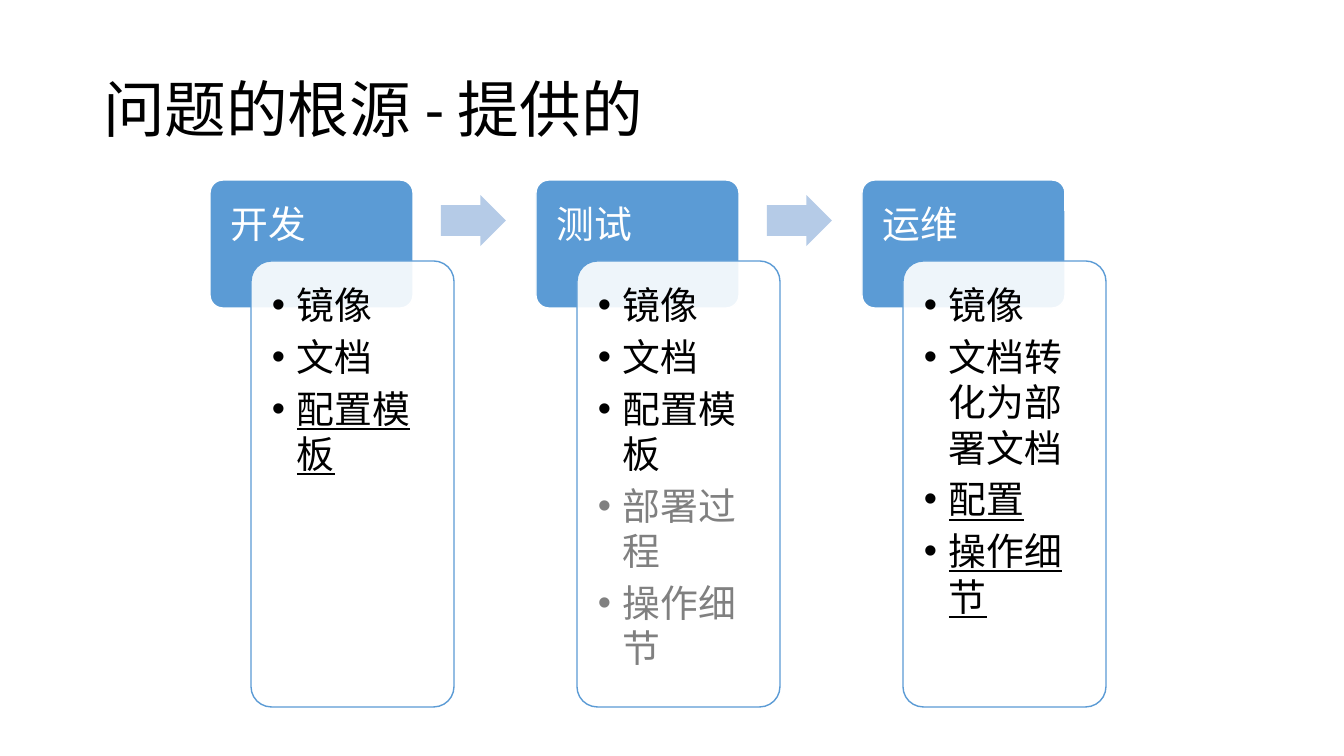
from pptx import Presentation, util as u
from pptx.dml.color import RGBColor
from pptx.enum import shapes, text
from pptx.oxml.ns import qn
from lxml import etree

SCALE = 914400 / 100.8  # EMU per pixel
BLUE, PALE, WHITE, BLACK, GREY = "5B9BD5", "B5CBE7", "FFFFFF", "000000", "808080"


def px(n):
    return u.Emu(round(n * SCALE))


def rgb(value):
    return RGBColor.from_string(value)


prs = Presentation()
prs.slide_width, prs.slide_height = px(1344), px(756)
slide = prs.slides.add_slide(prs.slide_layouts[5])

# Title
title = slide.shapes.title
title.left, title.top, title.width, title.height = px(93), px(40), px(1159), px(146)
title.text_frame.text = "问题的根源 - 提供的"
title.text_frame.vertical_anchor = text.MSO_ANCHOR.MIDDLE
heading = title.text_frame.paragraphs[0]
heading.alignment, heading.line_spacing = text.PP_ALIGN.LEFT, 0.9
heading.font.size, heading.font.name = u.Pt(44), "Calibri"
heading.font.color.rgb = rgb(BLACK)

# Each stage: name and its items as (wording, colour, underlined)
stages = [
    ("开发", [("镜像", BLACK, False), ("文档", BLACK, False), ("配置模板", BLACK, True)]),
    ("测试", [("镜像", BLACK, False), ("文档", BLACK, False), ("配置模板", BLACK, False),
            ("部署过程", GREY, False), ("操作细节", GREY, False)]),
    ("运维", [("镜像", BLACK, False), ("文档转化为部署文档", BLACK, False),
            ("配置", BLACK, True), ("操作细节", BLACK, True)]),
]
ROUND, ARROW = shapes.MSO_SHAPE.ROUNDED_RECTANGLE, shapes.MSO_SHAPE.RIGHT_ARROW
FIRST, STEP = 210, 326

for i, (stage, items) in enumerate(stages):
    left = FIRST + i * STEP
    # Parts: preset, box, adjustments, fill, line, inset, space after, lines of text
    parts = [
        (ROUND, (left, 180, 203, 128), [0.1], BLUE, WHITE, 17, 9, [(stage, WHITE, False)]),
        (ROUND, (left + 41, 261, 203, 446), [0.1], WHITE, BLUE, 15, 4.5, items),
    ]
    if i < len(stages) - 1:
        parts.append((ARROW, (left + 231, 195, 65, 51), [0.6, 0.5], PALE, None, 0, 0, []))

    for preset, box, adjustments, fill, line, inset, after, lines in parts:
        part = slide.shapes.add_shape(preset, *map(px, box))
        part.shadow.inherit = False
        for n, value in enumerate(adjustments):
            part.adjustments[n] = value
        part.fill.solid()
        part.fill.fore_color.rgb = rgb(fill)
        if line:
            part.line.color.rgb = rgb(line)
            part.line.width = u.Pt(1)
        else:
            part.line.fill.background()

        frame = part.text_frame
        frame_format = {"word_wrap": True, "vertical_anchor": text.MSO_ANCHOR.TOP,
                        "margin_left": px(inset), "margin_right": px(inset),
                        "margin_top": px(inset), "margin_bottom": px(min(inset, 7))}
        for key, value in frame_format.items():
            setattr(frame, key, value)

        for n, (wording, colour, underlined) in enumerate(lines):
            para = frame.paragraphs[0] if n == 0 else frame.add_paragraph()
            para.alignment, para.space_after = text.PP_ALIGN.LEFT, u.Pt(after)
            run = para.add_run()
            run.text = wording
            run.font.color.rgb = rgb(colour)
            run_format = {"size": u.Pt(27), "name": "Calibri", "underline": underlined}
            for key, value in run_format.items():
                setattr(run.font, key, value)
            # Bulleted hanging indent for the items
            if lines is items:
                props = para._p.get_or_add_pPr()
                props.set("marL", str(px(25)))
                props.set("indent", str(-px(25)))
                etree.SubElement(props, qn("a:buFont"), typeface="Arial")
                etree.SubElement(props, qn("a:buChar"), char="•")

        # Item panels let a little of the header through
        if lines is items:
            shade = part.fill._xPr.find(qn("a:solidFill"))[0]
            etree.SubElement(shade, qn("a:alpha"), val="90000")

prs.save("out.pptx")
